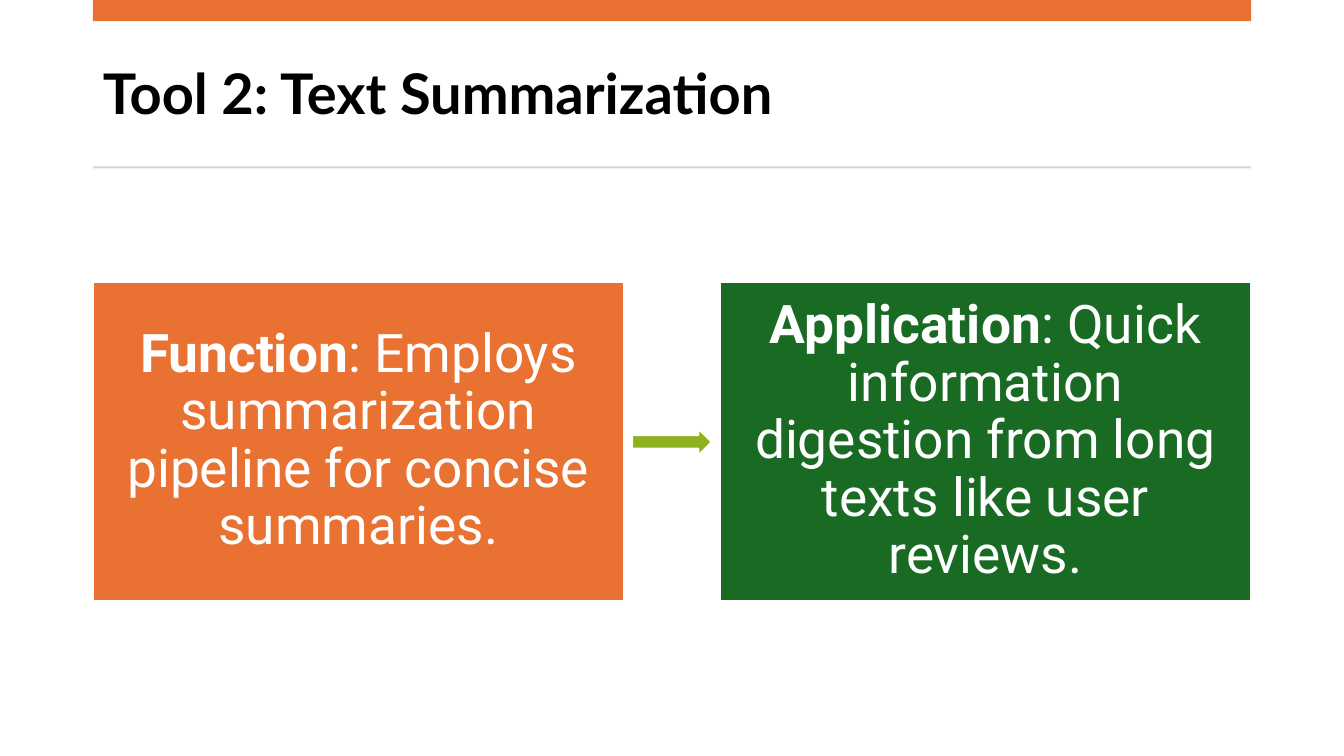
"""Build the text summarization slide: a title and two cards joined by an arrow."""
from dataclasses import dataclass

import pptx
import pptx.dml.color
import pptx.enum.shapes
import pptx.enum.text
import pptx.util

Inches = pptx.util.Inches
Pt = pptx.util.Pt
RGBColor = pptx.dml.color.RGBColor
Shape = pptx.enum.shapes.MSO_SHAPE
Align = pptx.enum.text.PP_ALIGN
Anchor = pptx.enum.text.MSO_ANCHOR

ORANGE = RGBColor(0xE9, 0x71, 0x32)
GREEN = RGBColor(0x19, 0x6B, 0x24)
LIME = RGBColor(0x8E, 0xB2, 0x1E)
GRAY = RGBColor(0xD5, 0xD5, 0xD5)
BLACK = RGBColor(0, 0, 0)
WHITE = RGBColor(0xFF, 0xFF, 0xFF)

MARGIN = 0.92
CONTENT_WIDTH = 11.49
CARD_TOP = 2.8
CARD_WIDTH = 5.27
CARD_HEIGHT = 3.16
CARD_STEP = 6.22
CARD_INSET = 0.17


@dataclass
class Block:
    left: float
    top: float
    width: float
    height: float
    fill: RGBColor
    kind: Shape = Shape.RECTANGLE
    outlined: bool = False


@dataclass
class Card:
    heading: str
    detail: str
    fill: RGBColor


BLOCKS = [
    Block(MARGIN, 0, CONTENT_WIDTH, 0.21, ORANGE),
    Block(MARGIN, 1.65, CONTENT_WIDTH, 0.02, GRAY),
    Block(6.27, 4.25, 0.79, 0.27, LIME, Shape.RIGHT_ARROW, True),
]
CARDS = [
    Card("Function", ": Employs summarization pipeline for concise summaries.", ORANGE),
    Card("Application", ": Quick information digestion from long texts like user reviews.", GREEN),
]


def style_span(span: pptx.text.text._Run, font: str, size: int, color: RGBColor, bold: bool) -> None:
    span.font.name = font
    span.font.size = Pt(size)
    span.font.color.rgb = color
    span.font.bold = bold


def draw_title(page: pptx.slide.Slide, text: str) -> None:
    title = page.shapes.title
    title.left, title.top = Inches(MARGIN), Inches(0.37)
    title.width, title.height = Inches(CONTENT_WIDTH), Inches(1.18)
    frame = title.text_frame
    frame.text = text
    frame.auto_size = pptx.enum.text.MSO_AUTO_SIZE.NONE
    frame.vertical_anchor = Anchor.MIDDLE
    para = frame.paragraphs[0]
    para.alignment = Align.LEFT
    para.line_spacing = 0.9
    style_span(para.runs[0], "Lato", 40, BLACK, True)


def draw_block(page: pptx.slide.Slide, block: Block) -> pptx.shapes.autoshape.Shape:
    box = page.shapes.add_shape(
        block.kind, Inches(block.left), Inches(block.top), Inches(block.width), Inches(block.height)
    )
    box.shadow.inherit = False
    box.fill.solid()
    box.fill.fore_color.rgb = block.fill
    if block.outlined:
        box.line.color.rgb = WHITE
        box.line.width = Pt(1.5)
    else:
        box.line.fill.background()
    return box


def draw_card(page: pptx.slide.Slide, card: Card, left: float) -> None:
    box = draw_block(page, Block(left, CARD_TOP, CARD_WIDTH, CARD_HEIGHT, card.fill, outlined=True))
    frame = box.text_frame
    frame.word_wrap = True
    frame.vertical_anchor = Anchor.MIDDLE
    frame.margin_left = frame.margin_right = Inches(CARD_INSET)
    frame.margin_top = frame.margin_bottom = Inches(CARD_INSET)
    para = frame.paragraphs[0]
    para.alignment = Align.CENTER
    para.line_spacing = 0.9
    for text, bold in ((card.heading, True), (card.detail, False)):
        span = para.add_run()
        span.text = text
        style_span(span, "Roboto", 38, WHITE, bold)


def main() -> None:
    deck = pptx.Presentation()
    deck.slide_width, deck.slide_height = Inches(13.33), Inches(7.5)
    page = deck.slides.add_slide(deck.slide_layouts.get_by_name("Title Only"))
    draw_title(page, "Tool 2: Text Summarization")
    for block in BLOCKS:
        draw_block(page, block)
    for index, card in enumerate(CARDS):
        draw_card(page, card, MARGIN + index * CARD_STEP)
    deck.save("out.pptx")


if __name__ == "__main__":
    main()
